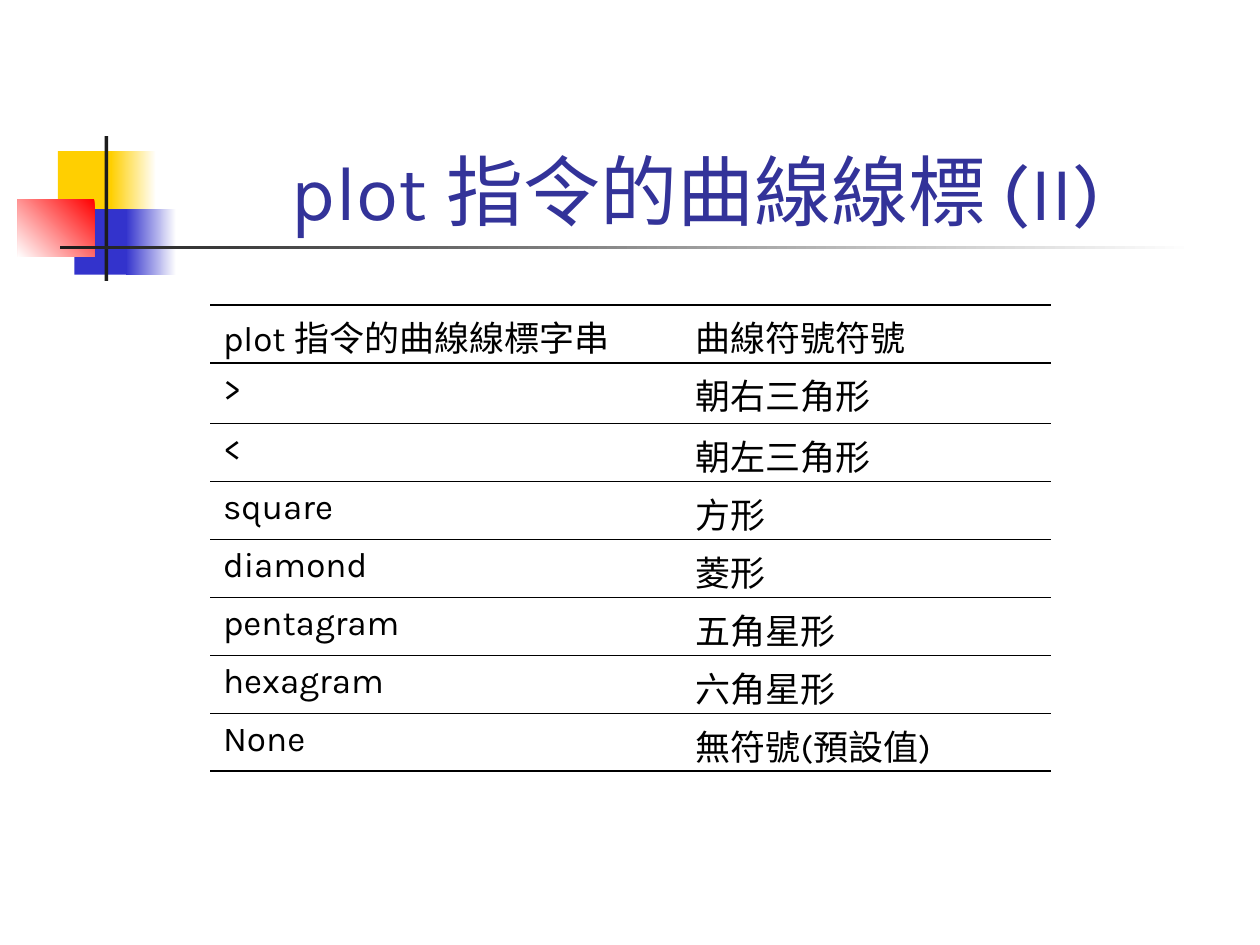
from lxml import etree
from pptx import Presentation, util as u
from pptx.dml.color import RGBColor
from pptx.enum import shapes, text
from pptx.oxml.ns import qn

# Content
TITLE = "plot 指令的曲線線標 (II)"
ROWS = [
    ("plot 指令的曲線線標字串", "曲線符號符號"),
    (">", "朝右三角形"),
    ("<", "朝左三角形"),
    ("square", "方形"),
    ("diamond", "菱形"),
    ("pentagram", "五角星形"),
    ("hexagram", "六角星形"),
    ("None", "無符號(預設值)"),
]

# Look
FONT = "Karla"
COLORS = {
    "title": "333399", "body": "000000", "white": "FFFFFF", "yellow": "FFCF01",
    "blue": "3333CC", "red": "FF0000", "bar": "1C1C1C",
}
WIDTH, HEIGHT = 10, 7.5
THIN, THICK = 0.45, 1.08
COLUMNS = (3.75, 2.92)
ROW_HEIGHTS = [0.46, 0.48] + [0.46] * (len(ROWS) - 2)

# Corner ornament: left, top, width, height, colours, counter-clockwise angle
ORNAMENT = [
    (0.46, 1.2, 0.48, 0.52, ("yellow",), None),
    (0.88, 1.2, 0.36, 0.52, ("white", "yellow"), 180),
    (0.59, 1.66, 0.46, 0.52, ("blue",), None),
    (1, 1.66, 0.4, 0.52, ("white", "blue"), 180),
    (0.14, 1.58, 0.61, 0.46, ("red", "white"), 225),
    (0.83, 1.08, 0.03, 1.15, ("bar",), None),
    (0.48, 1.95, 9, 0.03, ("white", "bar"), 180),
]


def color(name):
    return RGBColor.from_string(COLORS[name])


def write(frame, content, size, fill, align=text.PP_ALIGN.LEFT):
    para = frame.paragraphs[0]
    para.alignment = align
    span = para.add_run()
    span.text = content
    span.font.name = FONT
    span.font.size = u.Pt(size)
    span.font.color.rgb = color(fill)


def add_block(page, left, top, width, height, names, angle):
    block = page.shapes.add_shape(
        shapes.MSO_SHAPE.RECTANGLE, *map(u.Inches, (left, top, width, height)))
    block.shadow.inherit = False
    block.line.fill.background()
    if angle is None:
        block.fill.solid()
        block.fill.fore_color.rgb = color(names[0])
    else:
        block.fill.gradient()
        block.fill.gradient_angle = angle
        for stop, name in zip(block.fill.gradient_stops, names):
            stop.color.rgb = color(name)


def set_borders(cell, top, bottom):
    props = cell._tc.get_or_add_tcPr()
    for side, points in (("L", 0), ("R", 0), ("T", top), ("B", bottom)):
        line = etree.SubElement(props, qn(f"a:ln{side}"), w=str(u.Pt(points)))
        if points:
            fill = etree.SubElement(line, qn("a:solidFill"))
            etree.SubElement(fill, qn("a:srgbClr"), val=COLORS["body"])
        else:
            etree.SubElement(line, qn("a:noFill"))


def add_marker_table(page):
    frame = page.shapes.add_table(
        len(ROWS), len(COLUMNS), u.Inches(1.67), u.Inches(2.42),
        u.Inches(sum(COLUMNS)), u.Inches(sum(ROW_HEIGHTS)))
    table = frame.table
    table.first_row = table.horz_banding = False
    for column, width in zip(table.columns, COLUMNS):
        column.width = u.Inches(width)
    # Heavy rules frame the header and close the table
    rules = [THICK, THICK] + [THIN] * (len(ROWS) - 2) + [THICK]
    for r, row in enumerate(ROWS):
        table.rows[r].height = u.Inches(ROW_HEIGHTS[r])
        for c, content in enumerate(row):
            cell = table.cell(r, c)
            set_borders(cell, rules[r], rules[r + 1])
            cell.fill.background()
            write(cell.text_frame, content, 20, "body")


def main():
    deck = Presentation()
    deck.slide_width, deck.slide_height = u.Inches(WIDTH), u.Inches(HEIGHT)
    page = deck.slides.add_slide(deck.slide_layouts[6])

    for part in ORNAMENT:
        add_block(page, *part)

    # Title
    box = page.shapes.add_textbox(*map(u.Inches, (1.26, 0.67, 8.52, 1.25)))
    box.text_frame.word_wrap = True
    box.text_frame.vertical_anchor = text.MSO_ANCHOR.BOTTOM
    write(box.text_frame, TITLE, 44, "title", text.PP_ALIGN.CENTER)

    add_marker_table(page)
    deck.save("out.pptx")


if __name__ == "__main__":
    main()
